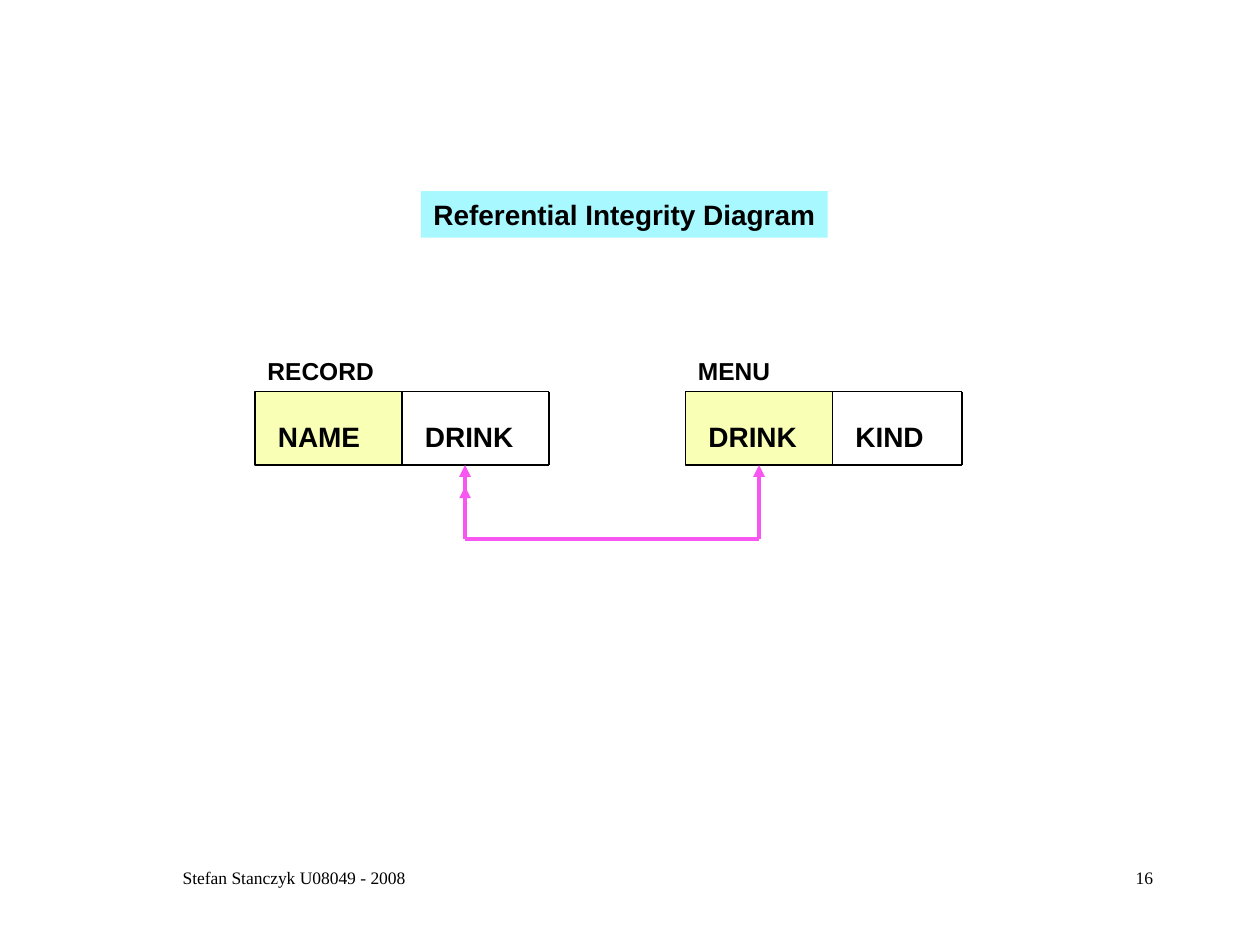
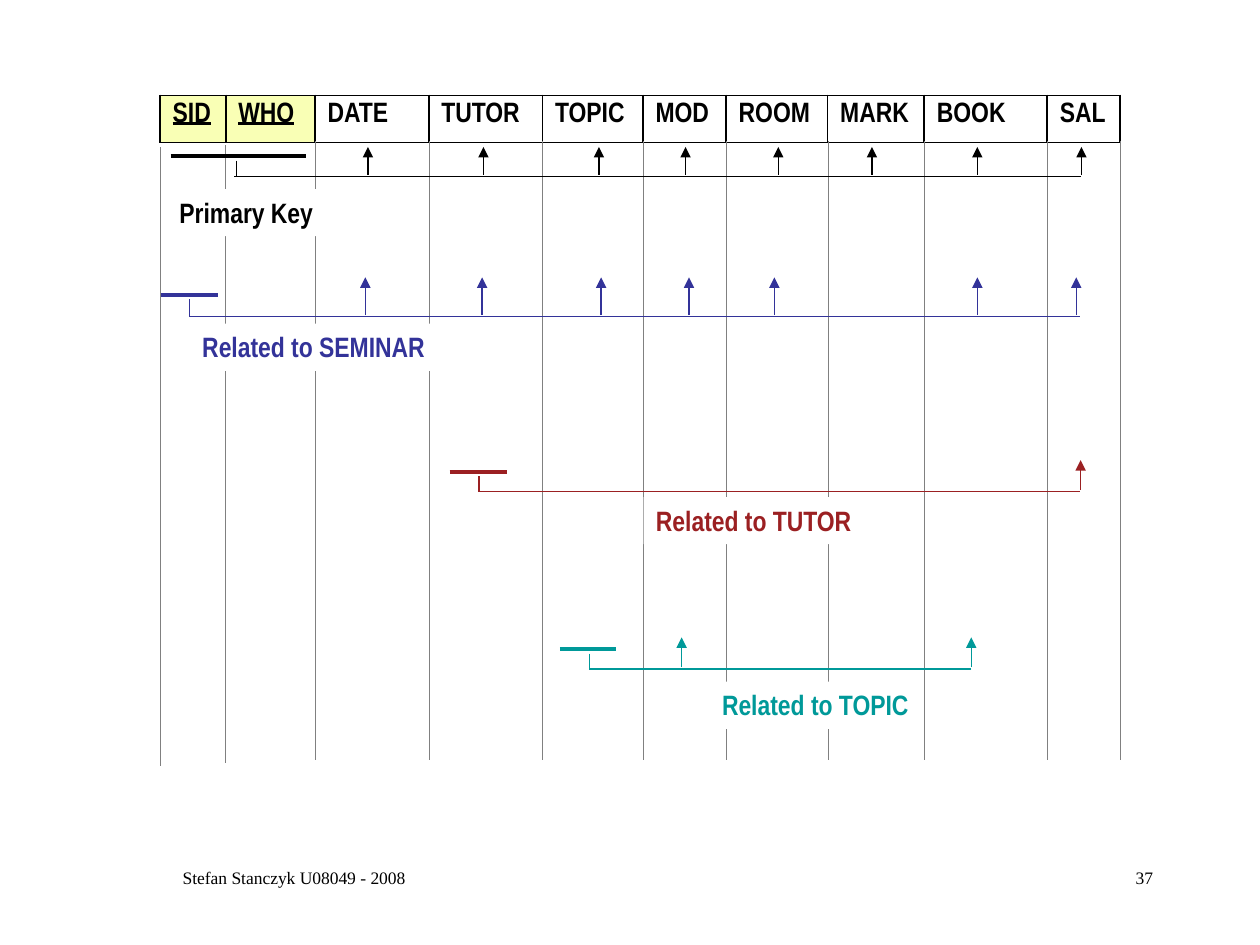
"""Build two slides on referential integrity and functional dependencies."""
from dataclasses import dataclass
from itertools import accumulate
from typing import Any, Optional

from lxml.etree import SubElement
from pptx import Presentation
from pptx.dml.color import RGBColor
from pptx.enum.shapes import MSO_CONNECTOR, MSO_SHAPE
from pptx.enum.text import MSO_ANCHOR, MSO_AUTO_SIZE, PP_ALIGN
from pptx.oxml.ns import qn
from pptx.util import Pt

BLACK, WHITE, GREY = "000000", "FFFFFF", "808080"
KEY_YELLOW, TITLE_CYAN, LINK_PINK = "F9FFB5", "A8F8FF", "F856F0"
NAVY, BRICK, TEAL = "333399", "9B2022", "009999"

HEADING = {"name": "Arial", "size": Pt(16), "bold": True}
RELATION_NAME = {**HEADING, "size": Pt(14)}
NARROW = {**HEADING, "name": "Arial Narrow"}
FOOTER = {"name": "Times New Roman", "size": Pt(10)}
FOOTER_FRAME = {
    "margin_left": Pt(7.2), "margin_right": Pt(7.2),
    "margin_top": Pt(3.6), "margin_bottom": Pt(3.6),
    "word_wrap": True, "auto_size": MSO_AUTO_SIZE.NONE,
    "vertical_anchor": MSO_ANCHOR.TOP,
}
LABEL_FRAME = {**FOOTER_FRAME, "margin_right": Pt(0)}


@dataclass(frozen=True)
class Box:
    left: float
    top: float
    width: float
    height: float

    def lengths(self) -> list[Any]:
        return [Pt(v) for v in (self.left, self.top, self.width, self.height)]


@dataclass(frozen=True)
class Attribute:
    name: str
    width: float
    is_key: bool = False


@dataclass(frozen=True)
class Relation:
    name: str
    left: float
    name_width: float
    attributes: tuple[Attribute, ...]


@dataclass(frozen=True)
class Dependency:
    label: str
    label_box: Box
    color: str
    key_span: tuple[float, float]
    key_y: float
    stem_x: float
    rail_span: tuple[float, float]
    rail_y: float
    arrow_tip: float
    arrow_xs: tuple[float, ...]


CELL_TOP, CELL_HEIGHT, RAIL_Y = 223.75, 42, 308
CELL_BOTTOM = CELL_TOP + CELL_HEIGHT
RELATIONS = (
    Relation("RECORD", 145.75, 75,
             (Attribute("NAME", 84, True), Attribute("DRINK", 84))),
    Relation("MENU", 391.75, 55.5,
             (Attribute("DRINK", 84, True), Attribute("KIND", 74))),
)
TABLE_LEFT, TABLE_TOP, TABLE_HEIGHT = 91.5, 54.5, 27
COLUMNS = (
    Attribute("SID", 37.5, True), Attribute("WHO", 51, True), Attribute("DATE", 65),
    Attribute("TUTOR", 65), Attribute("TOPIC", 57.5), Attribute("MOD", 47.5),
    Attribute("ROOM", 58), Attribute("MARK", 55.25), Attribute("BOOK", 70.25),
    Attribute("SAL", 41.5),
)
DEPENDENCIES = (
    Dependency("Primary Key", Box(95.5, 108, 91, 27), BLACK, (97.5, 175), 89.25, 135,
               (134, 618), 100.75, 84,
               (210.25, 276.25, 342.25, 391.75, 444.75, 498.25, 558.5, 618)),
    Dependency("Related to TOPIC", Box(405.5, 389.5, 121, 27), TEAL, (320, 352.25), 371,
               336.75, (336.75, 554.75), 382.25, 364.25, (389.5, 555)),
    Dependency("Related to TUTOR", Box(367.75, 284, 126, 27), BRICK, (257, 289.75),
               269.75, 273.75, (273.75, 617), 281, 263, (617.5,)),
    Dependency("Related to SEMINAR", Box(108.5, 185, 141, 27), NAVY, (92, 124.5), 168.5,
               108.5, (108, 617), 181, 158.5,
               (208.75, 275.5, 343.5, 393.75, 442.5, 558.5, 615)),
)


def rgb(color: str) -> RGBColor:
    return RGBColor.from_string(color)


def apply(target: Any, values: dict[str, Any]) -> None:
    for name, value in values.items():
        setattr(target, name, value)


def write(frame: Any, text: str, font: dict[str, Any], color: str = BLACK,
          alignment: Any = PP_ALIGN.LEFT) -> None:
    paragraph = frame.paragraphs[0]
    paragraph.alignment = alignment
    run = paragraph.add_run()
    run.text = text
    apply(run.font, font)
    run.font.color.rgb = rgb(color)


def fill(target: Any, color: Optional[str]) -> None:
    if color is None:
        target.fill.background()
    else:
        target.fill.solid()
        target.fill.fore_color.rgb = rgb(color)


def add_text(slide: Any, box: Box, text: str, font: dict[str, Any], color: str = BLACK,
             background: Optional[str] = None, frame: dict[str, Any] = LABEL_FRAME,
             alignment: Any = PP_ALIGN.LEFT) -> None:
    shape = slide.shapes.add_textbox(*box.lengths())
    fill(shape, background)
    apply(shape.text_frame, frame)
    write(shape.text_frame, text, font, color, alignment)


def add_line(slide: Any, start: tuple[float, float], end: tuple[float, float], color: str,
             width: float = 0.75, arrow: bool = False) -> Any:
    connector = slide.shapes.add_connector(
        MSO_CONNECTOR.STRAIGHT, *(Pt(value) for value in (*start, *end)))
    connector.line.color.rgb = rgb(color)
    connector.line.width = Pt(width)
    properties = connector._element.spPr
    if arrow:
        SubElement(properties.find(qn("a:ln")), qn("a:tailEnd"), type="triangle")
    SubElement(properties, qn("a:effectLst"))
    return connector


def add_footer(slide: Any, number: int) -> None:
    add_text(slide, Box(54, 492, 228, 36), "Stefan Stanczyk U08049 - 2008", FOOTER,
             frame=FOOTER_FRAME, alignment=PP_ALIGN.CENTER)
    add_text(slide, Box(516, 492, 150, 36), str(number), FOOTER,
             frame=FOOTER_FRAME, alignment=PP_ALIGN.RIGHT)


def add_title(slide: Any, text: str, box: Box) -> None:
    title = slide.shapes.title
    apply(title, dict(zip(("left", "top", "width", "height"), box.lengths())))
    fill(title, TITLE_CYAN)
    apply(title.text_frame, LABEL_FRAME)
    write(title.text_frame, text, HEADING)


def add_key_cell(slide: Any, box: Box) -> Any:
    cell = slide.shapes.add_shape(MSO_SHAPE.RECTANGLE, *box.lengths())
    cell.shadow.inherit = False
    fill(cell, KEY_YELLOW)
    cell.line.color.rgb = rgb(BLACK)
    cell.line.width = Pt(0.75)
    return cell


def add_relation(slide: Any, relation: Relation) -> Any:
    widths = [attribute.width for attribute in relation.attributes]
    edges = list(accumulate(widths, initial=relation.left))
    key_cell = None
    for left, attribute in zip(edges, relation.attributes):
        if attribute.is_key:
            key_cell = add_key_cell(
                slide, Box(left, CELL_TOP, attribute.width, CELL_HEIGHT))
        add_text(slide, Box(left + 6, 236.25, 65, 26.5), attribute.name, HEADING)
    for y in (CELL_TOP, CELL_BOTTOM):
        add_line(slide, (edges[0], y), (edges[-1], y), BLACK)
    for x in edges:
        add_line(slide, (x, CELL_TOP), (x, CELL_BOTTOM), BLACK)
    add_text(slide, Box(relation.left, 200, relation.name_width, 24.5),
             relation.name, RELATION_NAME)
    return key_cell


def add_border(cell: Any) -> None:
    properties = cell._tc.get_or_add_tcPr()
    for side in ("lnL", "lnR", "lnT", "lnB"):
        line = SubElement(properties, qn(f"a:{side}"), w=str(Pt(1.08)))
        SubElement(SubElement(line, qn("a:solidFill")), qn("a:srgbClr"), val=BLACK)


def add_column_table(slide: Any) -> None:
    box = Box(TABLE_LEFT, TABLE_TOP, sum(c.width for c in COLUMNS), TABLE_HEIGHT)
    table = slide.shapes.add_table(1, len(COLUMNS), *box.lengths()).table
    apply(table, {"first_row": False, "horz_banding": False})
    table.rows[0].height = Pt(TABLE_HEIGHT)
    for index, column in enumerate(COLUMNS):
        table.columns[index].width = Pt(column.width)
        cell = table.cell(0, index)
        add_border(cell)
        fill(cell, KEY_YELLOW if column.is_key else None)
        write(cell.text_frame, column.name, {**NARROW, "underline": column.is_key})


def add_guides(slide: Any) -> None:
    drops = {0: 3.5, 1: 2}
    edges = accumulate((column.width for column in COLUMNS), initial=TABLE_LEFT)
    for index, x in enumerate(edges):
        top = 80.75 + drops.get(index, 0)
        add_line(slide, (x, top), (x, top + 353.5), GREY, 0.25)


def add_dependency(slide: Any, dependency: Dependency) -> None:
    color, rail_y = dependency.color, dependency.rail_y
    key_start, key_end = dependency.key_span
    rail_start, rail_end = dependency.rail_span
    key_y, stem_x = dependency.key_y, dependency.stem_x
    add_line(slide, (key_start, key_y), (key_end, key_y), color, 2.25)
    add_line(slide, (stem_x, key_y + 2.5), (stem_x, rail_y), color)
    add_line(slide, (rail_start, rail_y), (rail_end, rail_y), color)
    for x in dependency.arrow_xs:
        add_line(slide, (x, rail_y - 1), (x, dependency.arrow_tip), color, arrow=True)
    add_text(slide, dependency.label_box, dependency.label, NARROW, color, WHITE)


def build_integrity_slide(presentation: Any) -> None:
    slide = presentation.slides.add_slide(presentation.slide_layouts[5])
    add_title(slide, "Referential Integrity Diagram", Box(240.5, 109.25, 232.5, 26.5))
    _, menu_key = [add_relation(slide, relation) for relation in RELATIONS]
    foreign_x, menu_x = 265.75, 433.75
    add_line(slide, (foreign_x, 302), (foreign_x, 278), LINK_PINK, 2.25, True)
    add_line(slide, (foreign_x, RAIL_Y), (menu_x, RAIL_Y), LINK_PINK, 2.25)
    add_line(slide, (foreign_x, RAIL_Y), (foreign_x, CELL_BOTTOM), LINK_PINK, 2.25, True)
    reference = add_line(slide, (menu_x, RAIL_Y), (menu_x, CELL_BOTTOM),
                         LINK_PINK, 2.25, True)
    reference.end_connect(menu_key, 2)
    add_footer(slide, 16)


def build_dependency_slide(presentation: Any) -> None:
    slide = presentation.slides.add_slide(presentation.slide_layouts[6])
    add_column_table(slide)
    add_guides(slide)
    for dependency in DEPENDENCIES:
        add_dependency(slide, dependency)
    add_footer(slide, 37)


def main() -> None:
    presentation = Presentation()
    presentation.slide_width, presentation.slide_height = Pt(720), Pt(540)
    build_integrity_slide(presentation)
    build_dependency_slide(presentation)
    presentation.save("out.pptx")


if __name__ == "__main__":
    main()
